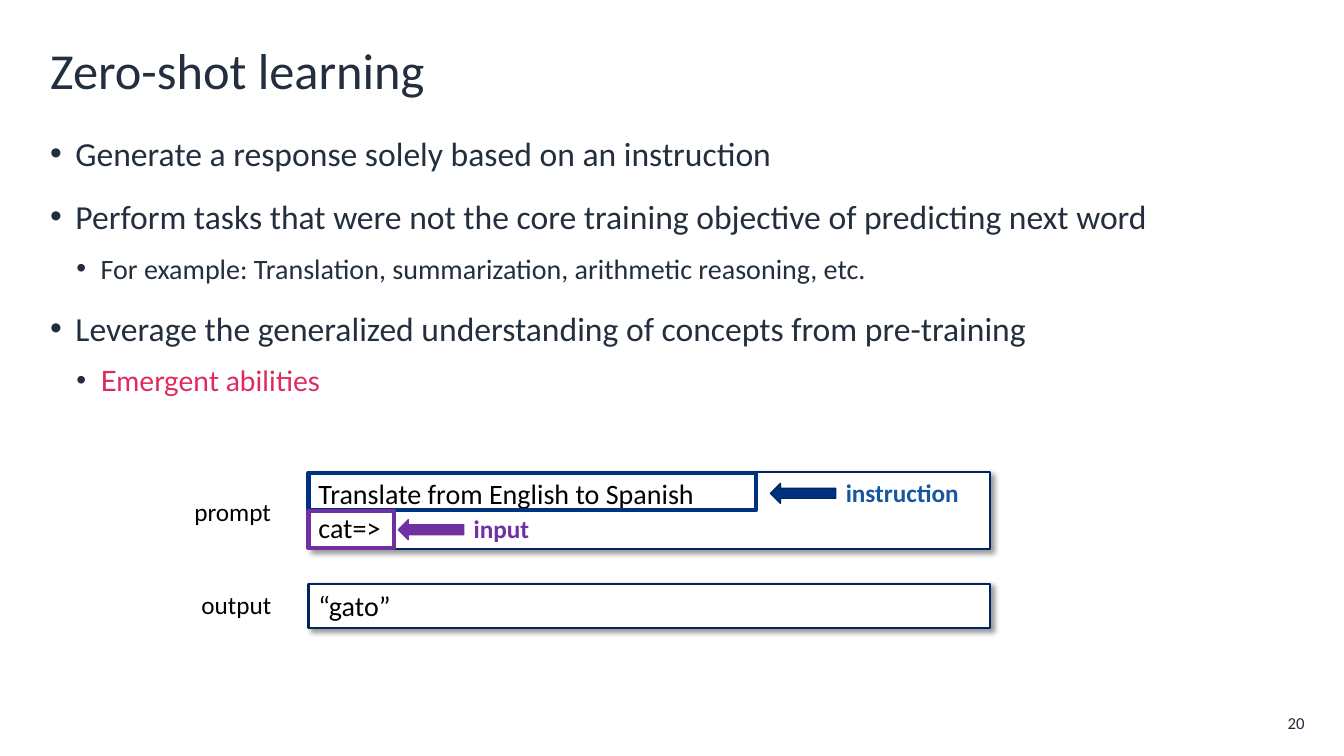
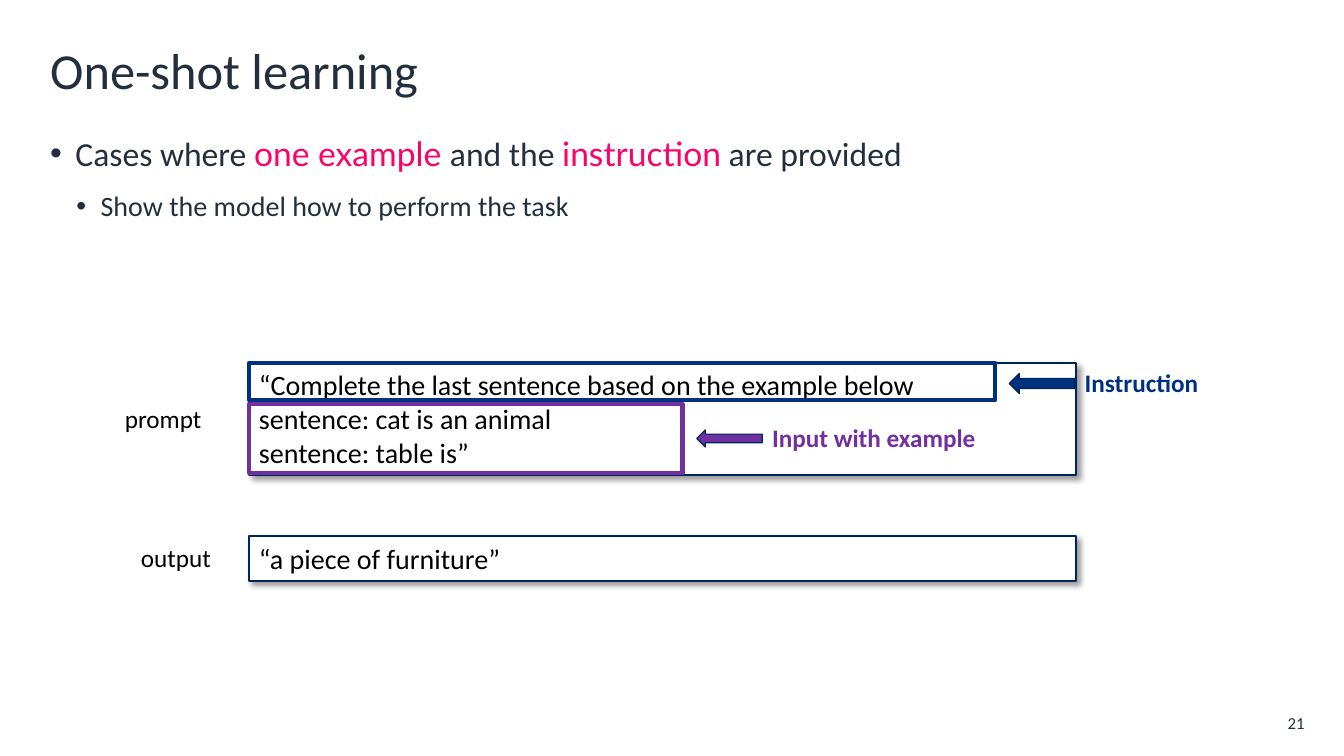
from dataclasses import dataclass

from lxml.etree import SubElement
from pptx import Presentation
from pptx.dml.color import RGBColor
from pptx.enum.shapes import MSO_SHAPE as Preset
from pptx.enum.text import MSO_ANCHOR as Anchor, PP_ALIGN as Align
from pptx.oxml.ns import qn
from pptx.util import Inches, Pt

# Shared style
BODY_FONT, ACCENT_FONT = "Calibri", "Lato"
INK = RGBColor(0x23, 0x2F, 0x3E)
BLACK = RGBColor(0, 0, 0)
WHITE = RGBColor(255, 255, 255)
OUTLINE = RGBColor(0x00, 0x24, 0x5F)
NAVY = RGBColor(0x00, 0x31, 0x81)
BLUE = RGBColor(0x18, 0x57, 0xA0)
PURPLE = RGBColor(0x70, 0x30, 0xA0)
CRIMSON = RGBColor(0xDF, 0x2A, 0x5D)
PINK = RGBColor(0xFF, 0x00, 0x66)

MARGIN, CONTENT_WIDTH = 0.4, 12.54
ARROW_LENGTH, LABEL_HEIGHT = 0.65, 0.4
# Per bullet level: size, left indent, first-line indent, space before
BULLET_LEVELS = [(24, 0.25, -0.25, 10), (20, 0.5, -0.24, 5)]


@dataclass
class Callout:
    """A frame over part of the prompt, with an arrow and label beside it."""
    left: float
    top: float
    width: float
    height: float
    label: str
    label_width: float
    color: RGBColor
    label_color: RGBColor
    arrow_line: RGBColor = OUTLINE
    gap: float = 0.14
    drop: float = 0
    arrow_height: float = 0.2


def set_font(font, size, color, name=BODY_FONT, bold=False):
    font.size, font.name, font.bold = Pt(size), name, bold
    font.color.rgb = color


def add_text(page, box, text, size, color, bold=False):
    frame = page.shapes.add_textbox(*map(Inches, box)).text_frame
    frame.word_wrap = True
    para = frame.paragraphs[0]
    para.text = text
    set_font(para.font, size, color, bold=bold)
    return frame


def add_preset(page, preset, box, fill, line, line_width):
    shape = page.shapes.add_shape(preset, *map(Inches, box))
    shape.shadow.inherit = False
    if fill is None:
        shape.fill.background()
    else:
        shape.fill.solid()
        shape.fill.fore_color.rgb = fill
    shape.line.color.rgb = line
    shape.line.width = Pt(line_width)
    return shape


def add_shadow(shape):
    effects = shape._element.spPr.find(qn("a:effectLst"))
    shadow = SubElement(effects, qn("a:outerShdw"), blurRad=str(Pt(4)),
                        dist=str(Pt(3)), dir=str(45 * 60000),
                        algn="tl", rotWithShape="0")
    color = SubElement(shadow, qn("a:srgbClr"), val=str(BLACK))
    SubElement(color, qn("a:alpha"), val="40000")


def add_base(deck, title, number):
    """Blank page with its title and page number."""
    page = deck.slides.add_slide(deck.slide_layouts[6])
    heading = add_text(page, (MARGIN, 0.33, CONTENT_WIDTH, 0.8), title, 36, INK)
    heading.vertical_anchor = Anchor.MIDDLE
    heading.paragraphs[0].line_spacing = 0.9

    footer = add_text(page, (12.41, 7.05, 0.53, 0.25), str(number), 12, INK)
    footer.vertical_anchor = Anchor.MIDDLE
    footer.margin_left = footer.margin_right = 0
    footer.margin_top = footer.margin_bottom = 0
    footer.paragraphs[0].alignment = Align.RIGHT
    return page


def add_bullets(page, box, bullets):
    """Each bullet is (level, spans); a span is (text, accent colour or None)."""
    frame = page.shapes.add_textbox(*map(Inches, box)).text_frame
    frame.word_wrap = True
    for index, (level, spans) in enumerate(bullets):
        para = frame.add_paragraph() if index else frame.paragraphs[0]
        size, left, first, before = BULLET_LEVELS[level]
        para.level = level
        para.space_before, para.space_after = Pt(before), Pt(6)
        props = para._p.get_or_add_pPr()
        props.set("marL", str(Inches(left)))
        props.set("indent", str(Inches(first)))
        color = SubElement(props, qn("a:buClr"))
        SubElement(color, qn("a:srgbClr"), val=str(INK))
        SubElement(props, qn("a:buFont"), typeface="Arial")
        SubElement(props, qn("a:buChar"), char="•")
        for text, accent in spans:
            span = para.add_run()
            span.text = text
            set_font(span.font, size, accent or INK,
                     ACCENT_FONT if accent else BODY_FONT)


def add_panel(page, box, lines):
    """White shadowed box holding the prompt or the output."""
    panel = add_preset(page, Preset.RECTANGLE, box, WHITE, OUTLINE, 1.5)
    add_shadow(panel)
    frame = panel.text_frame
    frame.word_wrap = True
    frame.vertical_anchor = Anchor.TOP
    for index, line in enumerate(lines):
        para = frame.add_paragraph() if index else frame.paragraphs[0]
        para.text = line
        para.alignment = Align.LEFT
        set_font(para.font, 20, BLACK)


def add_callout(page, left, top, callout):
    left, top = left + callout.left, top + callout.top
    add_preset(page, Preset.RECTANGLE,
               (left, top, callout.width, callout.height),
               None, callout.color, 3)
    middle = top + callout.height / 2 + callout.drop
    arrow_left = left + callout.width + callout.gap
    add_preset(page, Preset.LEFT_ARROW,
               (arrow_left, middle - callout.arrow_height / 2,
                ARROW_LENGTH, callout.arrow_height),
               callout.color, callout.arrow_line, 0.85)
    add_text(page, (arrow_left + ARROW_LENGTH, middle - LABEL_HEIGHT / 2 - 0.01,
                    callout.label_width, LABEL_HEIGHT),
             callout.label, 18, callout.label_color, bold=True)


def add_diagram(page, box, prompt, output, output_top, label_offsets, callouts):
    """Prompt panel in the box, output panel below, captions on the left."""
    left, top, width, height = box
    add_panel(page, box, prompt)
    add_panel(page, (left, top + output_top, width, 0.44), [output])
    for caption, (across, down) in zip(("prompt", "output"), label_offsets):
        add_text(page, (left + across, top + down, 1.1, LABEL_HEIGHT),
                 caption, 18, BLACK)
    for callout in callouts:
        add_callout(page, left, top, callout)


def build_zero_shot(deck):
    page = add_base(deck, "Zero-shot learning", 20)
    add_bullets(page, (MARGIN, 1.27, CONTENT_WIDTH, 2.73), [
        (0, [("Generate a response solely based on an instruction", None)]),
        (0, [("Perform tasks that were not the core training objective of "
              "predicting next word", None)]),
        (1, [("For example: Translation, summarization, arithmetic reasoning, "
              "etc.", None)]),
        (0, [("Leverage the generalized understanding of concepts from "
              "pre-training", None)]),
        (1, [("Emergent abilities", CRIMSON)]),
    ])
    add_diagram(
        page, (3.06, 4.68, 6.76, 0.77),
        ["Translate from English to Spanish", "cat=>"], "“gato”", 1.11,
        [(-1.23, 0.19), (-1.16, 1.12)],
        [Callout(0, 0.01, 4.44, 0.37, "instruction", 1.59, NAVY, BLUE,
                 drop=0.02),
         Callout(0, 0.39, 0.85, 0.37, "input", 1.44, PURPLE, PURPLE,
                 arrow_line=PURPLE, gap=0.04)])


def build_one_shot(deck):
    page = add_base(deck, "One-shot learning", 21)
    add_bullets(page, (MARGIN, 1.27, CONTENT_WIDTH, 5.76), [
        (0, [("Cases where ", None), ("one example ", PINK), ("and the ", None),
             ("instruction", PINK), (" are provided", None)]),
        (1, [("Show the model how to perform the task", None)]),
    ])
    add_diagram(
        page, (2.47, 3.6, 8.2, 1.11),
        ["“Complete the last sentence based on the example below",
         "sentence: cat is an animal", "sentence: table is”"],
        "“a piece of furniture”", 1.72,
        [(-1.33, 0.35), (-1.17, 1.73)],
        [Callout(0, 0, 7.4, 0.37, "Instruction", 1.61, NAVY, NAVY, drop=0.02),
         Callout(0, 0.41, 4.3, 0.68, "Input with example", 2.99, PURPLE, PURPLE,
                 arrow_height=0.17)])


def main():
    deck = Presentation()
    deck.slide_width, deck.slide_height = Inches(13.33), Inches(7.5)
    build_zero_shot(deck)
    build_one_shot(deck)
    deck.save("out.pptx")


if __name__ == "__main__":
    main()
